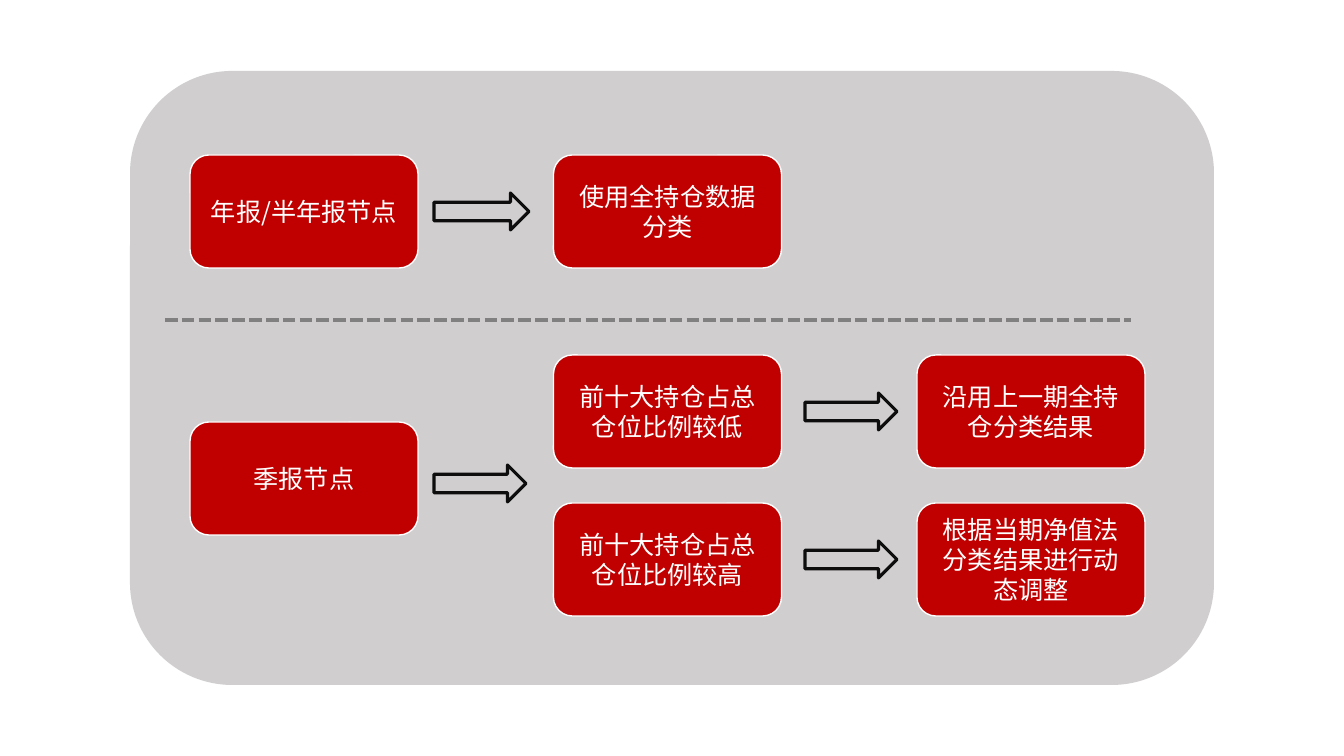
from lxml import etree
from pptx import Presentation
from pptx.dml.color import RGBColor
from pptx.enum.dml import MSO_LINE
from pptx.enum.shapes import MSO_CONNECTOR, MSO_SHAPE
from pptx.enum.text import MSO_ANCHOR, PP_ALIGN
from pptx.oxml.ns import qn
from pptx.util import Pt

"""Build a flow slide on how fund reports are classified at each report node."""

ROUNDED, ARROW = MSO_SHAPE.ROUNDED_RECTANGLE, MSO_SHAPE.RIGHT_ARROW
STRAIGHT, DASHED = MSO_CONNECTOR.STRAIGHT, MSO_LINE.SQUARE_DOT
MIDDLE, CENTER = MSO_ANCHOR.MIDDLE, PP_ALIGN.CENTER

COLORS = {"panel": "D0CECE", "step": "C00000", "white": "FFFFFF",
          "arrow": "0D0D0D", "divider": "808080"}
FONT = "Noto Sans CJK SC"
ROWS = {"annual": 155, "low": 355, "quarter": 422, "high": 503}
STEPS = [
    (0, "annual", "年报/半年报节点"),
    (1, "annual", "使用全持仓数据分类"),
    (0, "quarter", "季报节点"),
    (1, "low", "前十大持仓占总仓位比例较低"),
    (1, "high", "前十大持仓占总仓位比例较高"),
    (2, "low", "沿用上一期全持仓分类结果"),
    (2, "high", "根据当期净值法分类结果进行动态调整"),
]
ARROWS = [(434, "annual", 95, 0), (434, "quarter", 92, 5),
          (805, "low", 92, 0), (805, "high", 92, 0)]
PANEL = (130, 71, 1084, 614)
DIVIDER = (165, 320, 1131, 320)
STEP_LEFT, STEP_PITCH, STEP_WIDTH, STEP_HEIGHT = 190, 363.5, 228, 113
ARROW_HEIGHT, INSET = 37, 14


def px(length):
    return round(length * 914400 / 100.8)


def color(name):
    return RGBColor.from_string(COLORS[name])


def add_block(page, kind, bounds, fill=None, line=None, weight=1):
    block = page.shapes.add_shape(kind, *map(px, bounds))
    block.shadow.inherit = False
    if fill:
        block.fill.solid()
        block.fill.fore_color.rgb = color(fill)
    else:
        block.fill.background()
    if line:
        block.line.color.rgb = color(line)
        block.line.width = Pt(weight)
    else:
        block.line.fill.background()
    return block


def write(box, text, size=18, ink="white", font=FONT, inset=INSET):
    frame = box.text_frame
    frame.word_wrap = True
    frame.vertical_anchor = MIDDLE
    frame.margin_left = frame.margin_right = px(inset)
    para = frame.paragraphs[0]
    para.alignment = CENTER
    span = para.add_run()
    span.text = text
    span.font.size = Pt(size)
    span.font.color.rgb = color(ink)
    span.font.name = font
    east_asian = etree.SubElement(span._r.get_or_add_rPr(), qn("a:ea"))
    east_asian.set("typeface", font)


def add_divider(page, ends):
    divider = page.shapes.add_connector(STRAIGHT, *map(px, ends))
    divider.line.color.rgb = color("divider")
    divider.line.width = Pt(3)
    divider.line.dash_style = DASHED
    etree.SubElement(divider._element.spPr, qn("a:effectLst"))


deck = Presentation()
deck.slide_width, deck.slide_height = px(1344), px(756)
page = deck.slides.add_slide(deck.slide_layouts[6])

add_block(page, ROUNDED, PANEL, fill="panel")
add_divider(page, DIVIDER)
for column, row, text in STEPS:
    left = STEP_LEFT + column * STEP_PITCH
    box = add_block(page, ROUNDED, (left, ROWS[row], STEP_WIDTH, STEP_HEIGHT),
                    fill="step", line="white")
    write(box, text)
for left, row, width, drop in ARROWS:
    top = ROWS[row] + (STEP_HEIGHT - ARROW_HEIGHT) / 2 + drop
    add_block(page, ARROW, (left, top, width, ARROW_HEIGHT), line="arrow", weight=2.25)

deck.save("out.pptx")
